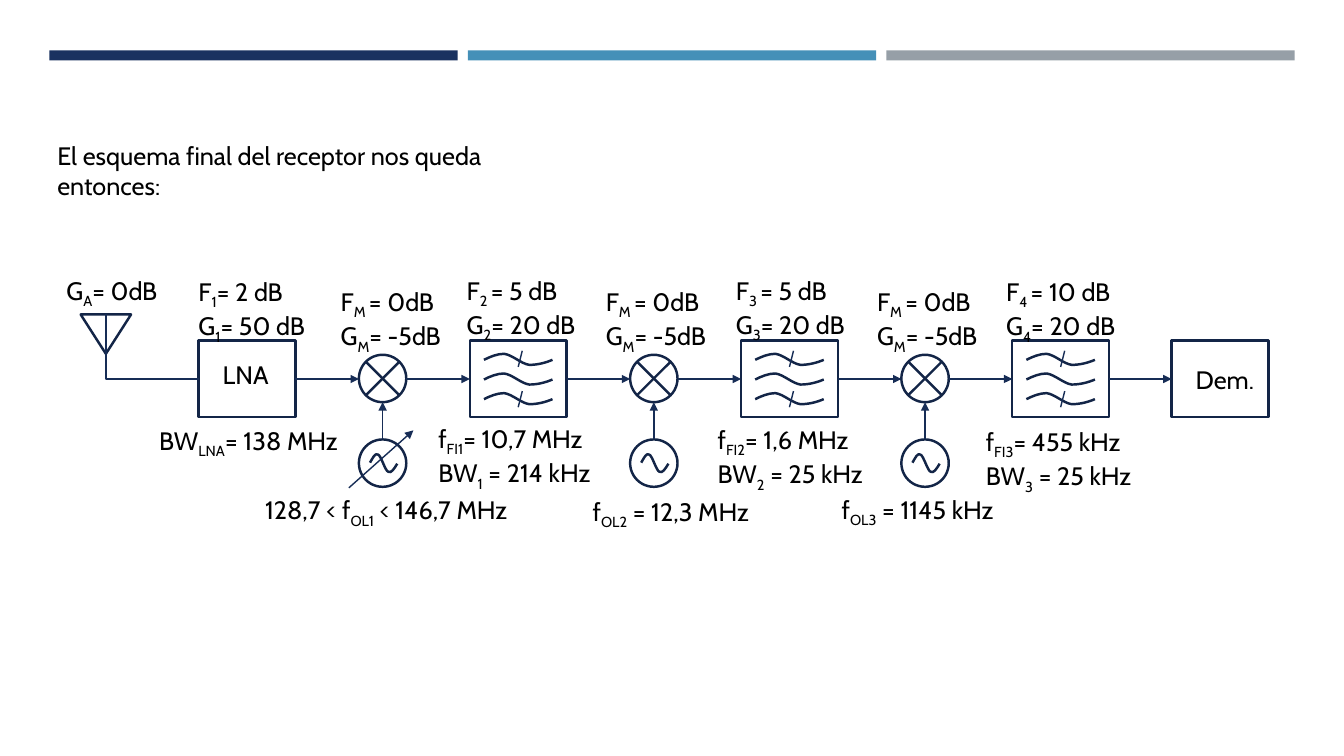
from lxml import etree
from pptx import Presentation
from pptx.dml.color import RGBColor
from pptx.enum.shapes import MSO_CONNECTOR, MSO_SHAPE
from pptx.enum.text import MSO_AUTO_SIZE
from pptx.oxml.ns import qn
from pptx.util import Inches, Pt

RECTANGLE = MSO_SHAPE.RECTANGLE
TRIANGLE = MSO_SHAPE.ISOSCELES_TRIANGLE
MIXER = MSO_SHAPE.FLOWCHART_SUMMING_JUNCTION
OVAL = MSO_SHAPE.OVAL
STRAIGHT = MSO_CONNECTOR.STRAIGHT
ELBOW = MSO_CONNECTOR.ELBOW
FIT_SHAPE = MSO_AUTO_SIZE.SHAPE_TO_FIT_TEXT
LEFT_SIDE, RIGHT_SIDE = 1, 3

COLORS = {
    "navy": "1A3260",
    "blue": "4590B8",
    "gray": "969FA7",
    "outline": "132547",
    "wire": "172D56",
    "text": "000000",
}

AXIS = 3.76
BLOCK_TOP, BLOCK_WIDTH, BLOCK_HEIGHT = 3.38, 0.96, 0.76
CIRCLE = 0.47
MIXER_TOP, OSCILLATOR_TOP = 3.52, 4.36
FIRST_MIXER, STAGE_PITCH, FILTER_OFFSET = 3.56, 2.69, 1.1
STAGE_COUNT = 3

FILTER_WAVE = [(0, 0.06), (0.06, 0.03), (0.13, 0), (0.2, 0), (0.28, 0.01),
               (0.37, 0.1), (0.45, 0.11), (0.53, 0.11), (0.61, 0.09), (0.68, 0.06)]
OSCILLATOR_WAVE = [(0, 0.09), (0.03, 0.04), (0.05, -0.01), (0.08, 0.01), (0.11, 0.02),
                   (0.15, 0.17), (0.18, 0.18), (0.21, 0.2), (0.24, 0.15), (0.27, 0.1)]

LABELS = [
    (2.11, 3.52, 0.82, ["LNA"]),
    (11.76, 3.57, 0.91, ["Dem."]),
    (0.56, 2.68, 1.12, ["G|A|= 0dB"]),
    (1.87, 2.69, 1.28, ["F|1|= 2 dB", "G|1|= 50 dB"]),
    (4.53, 2.68, 1.28, ["F|2 |= 5 dB", "G|2|= 20 dB"]),
    (7.2, 2.68, 1.28, ["F|3 |= 5 dB", "G|3|= 20 dB"]),
    (9.88, 2.69, 1.28, ["F|4 |= 10 dB", "G|4|= 20 dB"]),
    (1.48, 4.17, 2.08, ["BW|LNA|= 138 MHz"]),
    (4.25, 4.15, 1.84, ["f|FI1|= 10,7 MHz", "BW|1| = 214 kHz"]),
    (7.02, 4.16, 1.71, ["f|FI2|= 1,6 MHz", "BW|2| = 25 kHz"]),
    (9.68, 4.18, 1.71, ["f|FI3|= 455 kHz", "BW|3| = 25 kHz"]),
    (2.53, 4.86, 2.82, ["128,7 < f|OL1| < 146,7 MHz"]),
    (5.78, 4.87, 1.85, ["f|OL2| = 12,3 MHz"]),
    (8.25, 4.85, 1.84, ["f|OL3| = 1145 kHz"]),
]
MIXER_LABEL = ["F|M |= 0dB", "G|M|= -5dB"]
MIXER_LABEL_LEFTS = [3.28, 5.91, 8.6]


class ReceiverSlide:
    font = "Cabin"
    font_size = Pt(18)
    outline_width = Pt(1.75)

    def __init__(self, presentation):
        self.slide = presentation.slides.add_slide(presentation.slide_layouts[6])
        self.shapes = self.slide.shapes

    def color(self, name):
        return RGBColor.from_string(COLORS[name])

    def bar(self, left, color):
        shape = self.shapes.add_shape(RECTANGLE, Inches(left), Inches(0.5), Inches(4.05), Inches(0.1))
        shape.shadow.inherit = False
        shape.fill.solid()
        shape.fill.fore_color.rgb = self.color(color)
        shape.line.fill.background()

    def style_outline(self, shape):
        shape.shadow.inherit = False
        shape.fill.background()
        shape.line.color.rgb = self.color("outline")
        shape.line.width = self.outline_width
        return shape

    def outline(self, kind, left, top, width, height):
        return self.style_outline(self.shapes.add_shape(
            kind, Inches(left), Inches(top), Inches(width), Inches(height)))

    def block(self, left):
        return self.outline(RECTANGLE, left, BLOCK_TOP, BLOCK_WIDTH, BLOCK_HEIGHT)

    def wave(self, left, top, controls):
        points = [(Inches(left + x), Inches(top + y)) for x, y in controls]
        builder = self.shapes.build_freeform(*points[0])
        builder.add_line_segments(points[1:], close=False)
        shape = self.style_outline(builder.convert_to_shape())
        segments = list(shape._element.iter(qn("a:lnTo")))
        outline_path = segments[0].getparent()
        for first in range(0, len(segments), 3):
            curve = etree.SubElement(outline_path, qn("a:cubicBezTo"))
            for segment in segments[first:first + 3]:
                curve.append(segment[0])
                outline_path.remove(segment)

    def wire(self, start, end, arrow=False, source=None, target=None, width=1, kind=STRAIGHT):
        connector = self.shapes.add_connector(kind, *(Inches(value) for value in start + end))
        connector.line.color.rgb = self.color("wire")
        connector.line.width = Pt(width)
        if source is not None:
            connector.begin_connect(source, LEFT_SIDE if kind == ELBOW else RIGHT_SIDE)
        if target is not None:
            connector.end_connect(target, LEFT_SIDE)
        properties = connector._element.spPr
        if kind == ELBOW:
            properties.find(qn("a:prstGeom")).set("prst", "bentConnector2")
        if arrow:
            etree.SubElement(properties.find(qn("a:ln")), qn("a:tailEnd"), type="triangle")
        etree.SubElement(properties, qn("a:effectLst"))

    def filter(self, left):
        block = self.block(left)
        for row in range(3):
            self.wave(left + 0.14, 3.51 + 0.195 * row, FILTER_WAVE)
        for top in (3.48, 3.88):
            self.wire((left + 0.52, top), (left + 0.48, top + 0.16))
        return block

    def oscillator(self, left):
        self.outline(OVAL, left, OSCILLATOR_TOP, CIRCLE, CIRCLE)
        self.wave(left + 0.11, OSCILLATOR_TOP + 0.14, OSCILLATOR_WAVE)
        center = left + CIRCLE / 2
        self.wire((center, OSCILLATOR_TOP), (center, MIXER_TOP + CIRCLE), arrow=True)

    def label(self, left, top, width, lines):
        height = 0.4 if len(lines) == 1 else 0.71
        box = self.shapes.add_textbox(Inches(left), Inches(top), Inches(width), Inches(height))
        frame = box.text_frame
        frame.word_wrap = True
        frame.auto_size = FIT_SHAPE
        for index, line in enumerate(lines):
            paragraph = frame.add_paragraph() if index else frame.paragraphs[0]
            for position, piece in enumerate(line.split("|")):
                run = paragraph.add_run()
                run.text = piece
                run.font.name = self.font
                run.font.size = self.font_size
                run.font.color.rgb = self.color("text")
                if position % 2:
                    run._r.get_or_add_rPr().set("baseline", "-25000")


def main():
    presentation = Presentation()
    presentation.slide_width = Inches(13.33)
    presentation.slide_height = Inches(7.5)
    receiver = ReceiverSlide(presentation)

    for index, color in enumerate(("navy", "blue", "gray")):
        receiver.bar(0.49 + 4.15 * index, color)
    receiver.label(0.47, 1.34, 5.33, ["El esquema final del receptor nos queda entonces:"])

    antenna = receiver.outline(TRIANGLE, 0.8, 3.12, 0.5, 0.39)
    antenna.rotation = 180
    receiver.wire((1.05, 3.51), (1.05, 3.12), width=1.5)
    amplifier = receiver.block(1.97)
    receiver.wire((1.97, AXIS), (1.05, 3.51), source=amplifier, kind=ELBOW)

    previous, previous_right = amplifier, 1.97 + BLOCK_WIDTH
    for stage in range(STAGE_COUNT):
        mixer_left = FIRST_MIXER + STAGE_PITCH * stage
        filter_left = mixer_left + FILTER_OFFSET
        receiver.outline(MIXER, mixer_left, MIXER_TOP, CIRCLE, CIRCLE)
        receiver.oscillator(mixer_left)
        bandpass = receiver.filter(filter_left)
        receiver.wire((previous_right, AXIS), (mixer_left, AXIS), arrow=True, source=previous)
        receiver.wire((mixer_left + CIRCLE, AXIS), (filter_left, AXIS), arrow=True, target=bandpass)
        previous, previous_right = bandpass, filter_left + BLOCK_WIDTH

    demodulator = receiver.block(11.62)
    receiver.wire((previous_right, AXIS), (11.62, AXIS), arrow=True, source=previous, target=demodulator)
    receiver.wire((3.46, 4.84), (4.1, 4.27), arrow=True)

    for label in LABELS:
        receiver.label(*label)
    for left in MIXER_LABEL_LEFTS:
        receiver.label(left, 2.79, 1.22, MIXER_LABEL)

    presentation.save("out.pptx")


if __name__ == "__main__":
    main()
